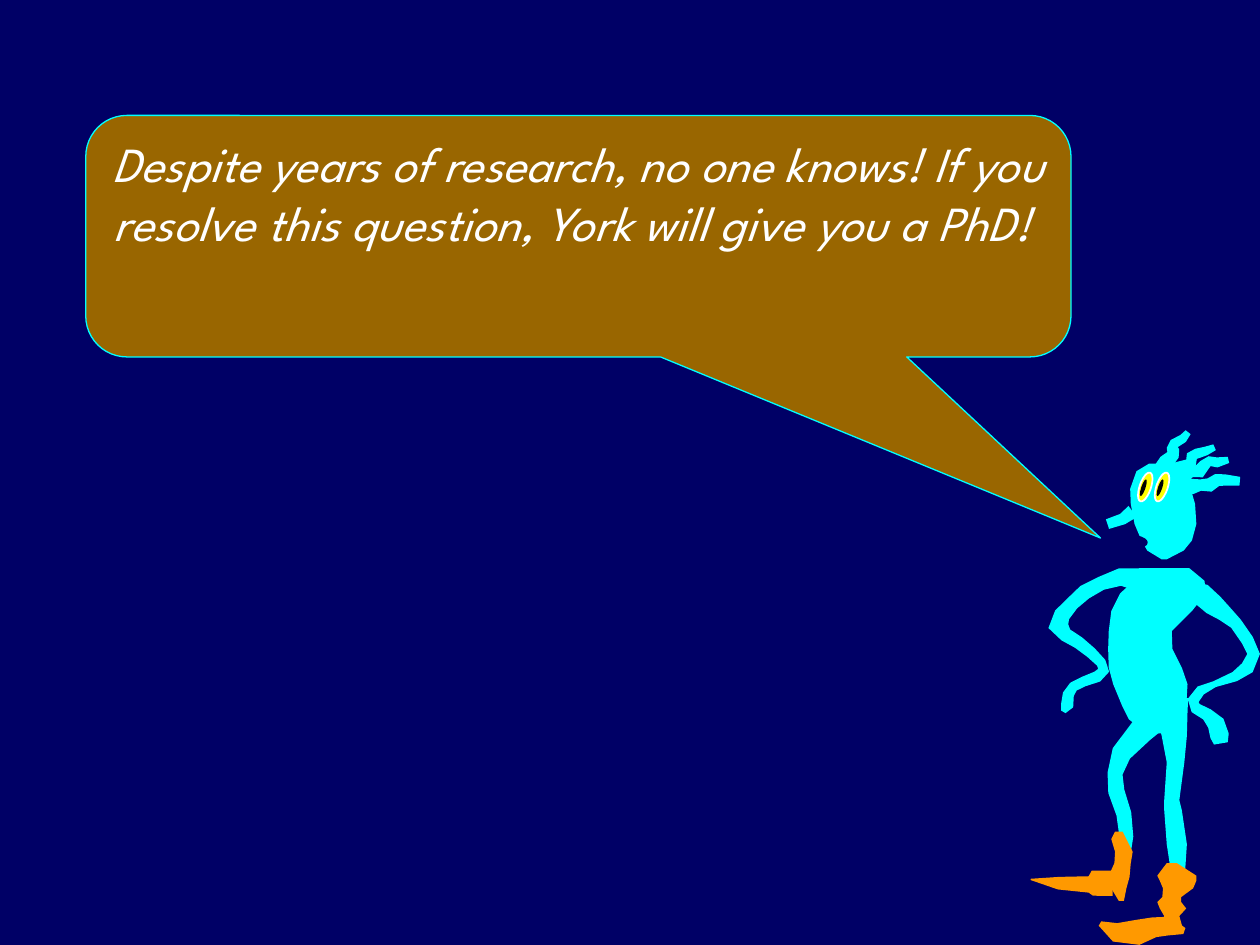
from math import hypot
from typing import NamedTuple

from pptx import Presentation
from pptx.dml.color import RGBColor
from pptx.enum.shapes import MSO_SHAPE
from pptx.enum.text import MSO_ANCHOR, PP_ALIGN
from pptx.util import Pt

CALLOUT = MSO_SHAPE.ROUNDED_RECTANGULAR_CALLOUT
OVAL = MSO_SHAPE.OVAL
CENTER = PP_ALIGN.CENTER
TOP = MSO_ANCHOR.TOP

NAVY = RGBColor(0x00, 0x00, 0x66)
BROWN = RGBColor(0x99, 0x66, 0x00)
CYAN = RGBColor(0x00, 0xFF, 0xFF)
ORANGE = RGBColor(0xFF, 0x99, 0x00)
YELLOW = RGBColor(0xFF, 0xFF, 0x00)
WHITE = RGBColor(0xFF, 0xFF, 0xFF)
BLACK = RGBColor(0x00, 0x00, 0x00)

FONT = "League Spartan"
SPEECH = ("Despite years of research, no one knows! "
          "If you resolve this question, York will give you a PhD! ")
UNIT = Pt(0.72)  # one step of the grid on which the figure's joints lie
EYE_TILT = 288.6
EYE_LEFT, EYE_GAP, EYE_COUNT = 645.8, 9.6, 2


class Joint(NamedTuple):
    """A place on the middle line of a body part, and how thick the part is there."""
    x: float
    y: float
    width: float


class BodyPart(NamedTuple):
    """A part that swells and thins from joint to joint; level parts are cut straight across."""
    joints: tuple[Joint, ...]
    color: RGBColor = CYAN
    level: bool = False


class Ellipse(NamedTuple):
    left: float
    top: float
    width: float
    height: float
    color: RGBColor
    rotation: float = 0
    border: RGBColor | None = None


def joints(*triples: tuple[float, float, float]) -> tuple[Joint, ...]:
    return tuple(Joint(*triple) for triple in triples)


TORSO = BodyPart(joints(
    (924, 451, 40), (928, 461, 56), (923, 471, 68), (914, 485, 64), (905, 501, 50),
    (905, 515, 51), (909, 530, 58), (913, 543, 59), (916, 560, 51), (917, 571, 42),
    (917, 582, 14)), level=True)
HEAD = BodyPart(joints(
    (921, 368, 18), (920, 374, 36), (921, 388, 48), (923, 400, 51), (925, 416, 49),
    (926, 429, 40), (925, 437, 29), (924, 444, 4)), level=True)
NOSE = BodyPart(joints((899, 406, 11), (891, 412, 9), (879, 416, 8)))

RIGHT_ARM = BodyPart(joints(
    (940, 467, 13), (954, 472, 18), (963, 480, 17), (972, 487, 13), (981, 495, 10),
    (990, 508, 10), (995, 519, 10), (990, 530, 11), (980, 537, 8), (964, 543, 5),
    (953, 548, 8), (947, 556, 9), (949, 562, 9), (958, 567, 10), (965, 574, 14),
    (968, 584, 15), (969, 590, 11)))
LEFT_ARM = BodyPart(joints(
    (919, 463, 18), (903, 460, 18), (889, 458, 14), (874, 463, 11), (861, 470, 12),
    (851, 479, 11), (843, 488, 13), (840, 497, 16), (846, 504, 11), (856, 510, 10),
    (866, 518, 9), (874, 526, 8), (876, 532, 9), (871, 537, 9), (860, 541, 8),
    (852, 545, 8), (848, 551, 9), (847, 560, 10), (844, 565, 4)))

RIGHT_LEG = BodyPart(joints(
    (931, 554, 24), (930, 565, 25), (932, 584, 20), (933, 605, 14), (930, 635, 12),
    (931, 643, 14), (934, 670, 16), (935, 693, 11)), level=True)
LEFT_LEG = BodyPart(joints(
    (929, 560, 22), (906, 580, 20), (890, 598, 16), (885, 614, 12), (886, 628, 13),
    (892, 646, 12), (894, 664, 11), (892, 683, 9)))

HAIR = (
    BodyPart(joints((939, 390, 8), (945, 386, 13), (953, 385, 9), (960, 385, 11),
                    (966, 381, 10), (972, 381, 9), (984, 382, 7))),
    BodyPart(joints((935, 382, 12), (945, 375, 8), (952, 374, 11), (956, 369, 9),
                    (960, 366, 8), (966, 367, 8), (975, 365, 5))),
    BodyPart(joints((929, 376, 14), (935, 371, 9), (945, 369, 11), (946, 362, 9),
                    (950, 360, 8), (957, 358, 7), (964, 355, 5))),
    BodyPart(joints((921, 375, 14), (926, 366, 12), (931, 361, 10), (931, 356, 10),
                    (932, 352, 8), (939, 348, 7), (943, 343, 5))),
)

RIGHT_SHOE = (
    BodyPart(joints((930, 685, 8), (934, 695, 31), (935, 699, 29), (935, 705, 24),
                    (930, 712, 15), (928, 716, 19), (931, 721, 21), (930, 727, 12),
                    (930, 736, 17)), ORANGE, level=True),
    BodyPart(joints((873, 733, 4), (885, 740, 15), (903, 740, 20), (916, 736, 16),
                    (928, 735, 15), (940, 739, 5)), ORANGE),
)
LEFT_SHOE = (
    BodyPart(joints((888, 660, 6), (888, 666, 12), (892, 676, 14), (891, 685, 13),
                    (888, 696, 17), (888, 705, 12), (890, 715, 4)), ORANGE, level=True),
    BodyPart(joints((818, 698, 1), (840, 701, 10), (864, 702, 13), (867, 701, 20),
                    (883, 701, 20)), ORANGE),
)

BODY = (TORSO, RIGHT_ARM, LEFT_ARM, RIGHT_LEG, LEFT_LEG, HEAD, NOSE, *HAIR)
SHOES = (*RIGHT_SHOE, *LEFT_SHOE)
MOUTH = Ellipse(631.4, 305.3, 24.5, 9.4, NAVY)


def eye(left: float) -> tuple[Ellipse, Ellipse]:
    """The eyeball and, on it, the pupil."""
    return (Ellipse(left, 275, 17.3, 6.5, YELLOW, EYE_TILT, WHITE),
            Ellipse(left + 2.5, 277.5, 10.1, 2.4, BLACK, EYE_TILT))


def paint(shape, color: RGBColor, border: RGBColor | None = None, weight: float = 1) -> None:
    shape.shadow.inherit = False
    shape.fill.solid()
    shape.fill.fore_color.rgb = color
    if border is None:
        shape.line.fill.background()
    else:
        shape.line.color.rgb = border
        shape.line.width = Pt(weight)


def outline(part: BodyPart) -> list[tuple[float, float]]:
    """Step half a width to each side of every joint: down one side, back up the other."""
    one_side, other_side = [], []
    last = len(part.joints) - 1
    for index, joint in enumerate(part.joints):
        before = part.joints[max(index - 1, 0)]
        after = part.joints[min(index + 1, last)]
        along_x = 0 if part.level else after.x - before.x
        along_y = 1 if part.level else after.y - before.y
        half = joint.width / 2 / hypot(along_x, along_y)
        one_side.append((joint.x - along_y * half, joint.y + along_x * half))
        other_side.append((joint.x + along_y * half, joint.y - along_x * half))
    return one_side + other_side[::-1]


def draw_part(shapes, part: BodyPart) -> None:
    first, *others = [(x * UNIT, y * UNIT) for x, y in outline(part)]
    builder = shapes.build_freeform(*first)
    builder.add_line_segments(others, close=True)
    paint(builder.convert_to_shape(), part.color)


def draw_ellipse(shapes, ellipse: Ellipse) -> None:
    shape = shapes.add_shape(OVAL, Pt(ellipse.left), Pt(ellipse.top),
                             Pt(ellipse.width), Pt(ellipse.height))
    shape.rotation = ellipse.rotation
    paint(shape, ellipse.color, ellipse.border)


def draw_figure(shapes) -> None:
    for part in BODY:
        draw_part(shapes, part)
    for index in range(EYE_COUNT):
        for ellipse in eye(EYE_LEFT + index * EYE_GAP):
            draw_ellipse(shapes, ellipse)
    draw_ellipse(shapes, MOUTH)
    for part in SHOES:
        draw_part(shapes, part)


def draw_speech(shapes) -> None:
    callout = shapes.add_shape(CALLOUT, Pt(49), Pt(66), Pt(563), Pt(138))
    for index, value in enumerate((0.53, 1.25, 0.17)):
        callout.adjustments[index] = value
    paint(callout, BROWN, CYAN, 0.75)
    frame = callout.text_frame
    frame.word_wrap = True
    frame.vertical_anchor = TOP
    paragraph = frame.paragraphs[0]
    paragraph.alignment = CENTER
    run = paragraph.add_run()
    run.text = SPEECH
    run.font.name = FONT
    run.font.size = Pt(28)
    run.font.italic = True
    run.font.color.rgb = WHITE


def main() -> None:
    presentation = Presentation()
    presentation.slide_width, presentation.slide_height = Pt(720), Pt(540)
    slide = presentation.slides.add_slide(presentation.slide_layouts[6])
    slide.background.fill.solid()
    slide.background.fill.fore_color.rgb = NAVY
    draw_speech(slide.shapes)
    draw_figure(slide.shapes.add_group_shape().shapes)
    presentation.save("out.pptx")


if __name__ == "__main__":
    main()
